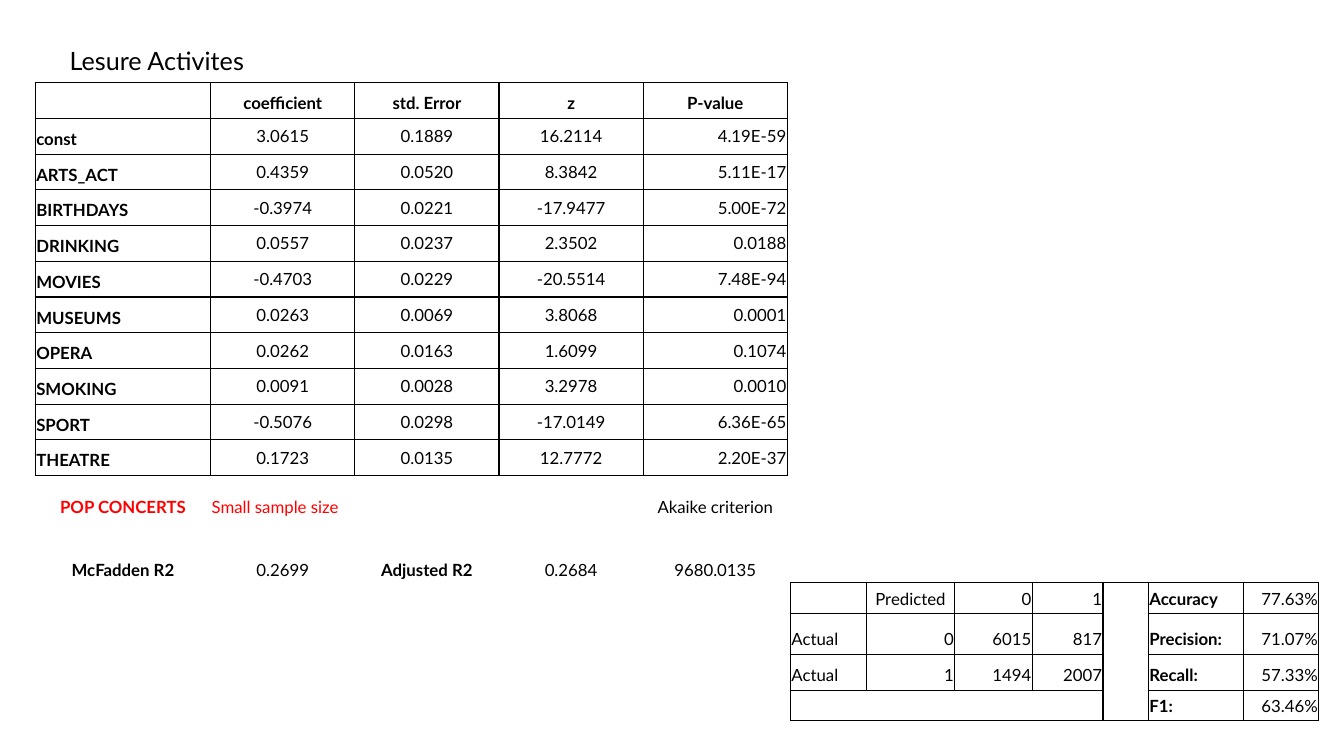
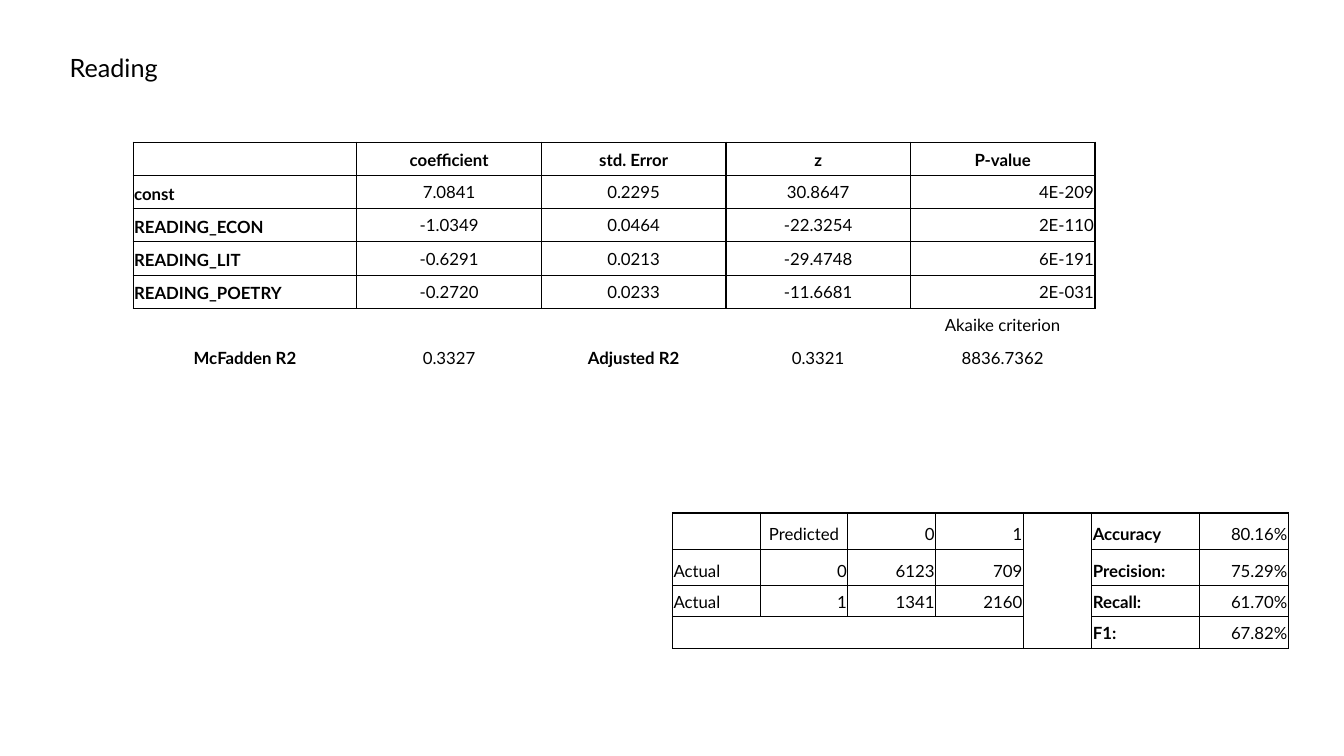
from lxml.etree import SubElement
from pptx import Presentation
from pptx.dml.color import RGBColor
from pptx.enum.text import MSO_ANCHOR, MSO_AUTO_SIZE, PP_ALIGN
from pptx.oxml.ns import qn
from pptx.util import Inches, Pt

BLACK, RED = "000000", "FF0000"
FONT = "Lato"
LEFT, CENTER, RIGHT = PP_ALIGN.LEFT, PP_ALIGN.CENTER, PP_ALIGN.RIGHT
REGRESSION_HEADER = ["", "coefficient", "std. Error", "z", "P-value"]
SCORE_LABELS = ["Accuracy", "Precision:", "Recall:", "F1:"]
GAP_COLUMN, SCORE_COLUMN = 4, 5


def color(value):
    """Turn a hex string into a colour."""
    return RGBColor.from_string(value)


class ReportDeck:
    """Hold the report style and the slide being filled."""

    def __init__(self):
        """Start a blank widescreen deck."""
        self.deck = Presentation()
        self.deck.slide_width, self.deck.slide_height = Inches(13.33), Inches(7.5)
        self.page = None

    def add_span(self, para, text, size, bold=False, ink=BLACK):
        """Add one styled run to a paragraph."""
        span = para.add_run()
        span.text = text
        span.font.name, span.font.size, span.font.bold = FONT, Pt(size), bold
        span.font.color.rgb = color(ink)

    def add_page(self, title, top):
        """Add a slide with its title."""
        self.page = self.deck.slides.add_slide(self.deck.slide_layouts[5])
        box = self.page.shapes.title
        box.left, box.top = Inches(0.59), Inches(top)
        box.width, box.height = Inches(10.31), Inches(0.4)
        frame = box.text_frame
        frame.word_wrap = True
        frame.auto_size = MSO_AUTO_SIZE.SHAPE_TO_FIT_TEXT
        frame.vertical_anchor = MSO_ANCHOR.TOP
        para = frame.paragraphs[0]
        para.alignment = LEFT
        self.add_span(para, title, 18)

    def add_grid(self, left, top, widths, heights):
        """Add an unstyled table and return it."""
        box = self.page.shapes.add_table(
            len(heights), len(widths), Inches(left), Inches(top),
            Inches(sum(widths)), Inches(sum(heights)))
        table = box.table
        table.first_row = table.horz_banding = False
        for column, width in zip(table.columns, widths):
            column.width = Inches(width)
        for row, height in zip(table.rows, heights):
            row.height = Inches(height)
        return table

    def fill_cell(self, cell, text, align, anchor, bold=False, ink=BLACK, sides="LRTB"):
        """Write one cell and rule the given sides."""
        cell.margin_left = cell.margin_right = Inches(0.01)
        cell.margin_top = cell.margin_bottom = Inches(0.05)
        cell.vertical_anchor = anchor
        properties = cell._tc.get_or_add_tcPr()
        for side in "LRTB":
            line = SubElement(properties, qn(f"a:ln{side}"), w=str(Pt(0.96)))
            if side in sides:
                paint = SubElement(line, qn("a:solidFill"))
                SubElement(paint, qn("a:srgbClr"), val=BLACK)
            else:
                SubElement(line, qn("a:noFill"))
        cell.fill.background()
        para = cell.text_frame.paragraphs[0]
        para.alignment = align
        if text:
            self.add_span(para, text, 12, bold, ink)
        else:
            SubElement(para._p, qn("a:endParaRPr"), sz="1200")

    def add_regression(self, left, top, widths, heights, estimates, summary):
        """Add the coefficient table with its unruled summary rows."""
        table = self.add_grid(left, top, widths, heights)
        for r, row in enumerate([REGRESSION_HEADER] + estimates):
            for c, text in enumerate(row):
                label = r == 0 or c == 0
                align = CENTER if r == 0 else LEFT if c == 0 else RIGHT if c == 4 else CENTER
                anchor = MSO_ANCHOR.BOTTOM if label else MSO_ANCHOR.MIDDLE
                self.fill_cell(table.cell(r, c), text, align, anchor, label)
        first = len(estimates) + 1
        for r, row in enumerate(summary):
            for c, text in enumerate(row):
                note = r == 0 and c < 2
                self.fill_cell(
                    table.cell(first + r, c), text, LEFT if note and c == 1 else CENTER,
                    MSO_ANCHOR.MIDDLE, c in (0, 2), RED if note else BLACK,
                    "T" if r == 0 else "")

    def add_confusion(self, left, top, widths, heights, counts, scores):
        """Add the confusion matrix beside its scores."""
        table = self.add_grid(left, top, widths, heights)
        matrix = [["", "Predicted", "0", "1"]]
        matrix += [["Actual", str(actual)] + row for actual, row in enumerate(counts)]
        matrix.append([""] * 4)
        for r, row in enumerate(matrix):
            for c, text in enumerate(row + ["", SCORE_LABELS[r], scores[r]]):
                align = LEFT if c in (0, SCORE_COLUMN) else RIGHT
                if text == "Predicted":
                    align = CENTER
                sides = "LRTB"
                if c == GAP_COLUMN:
                    sides = "LR" + {0: "T", len(matrix) - 1: "B"}.get(r, "")
                self.fill_cell(table.cell(r, c), text, align, MSO_ANCHOR.BOTTOM,
                               c == SCORE_COLUMN, sides=sides)
        table.cell(3, 0).merge(table.cell(3, 3))

    def save(self):
        """Save the deck."""
        self.deck.save("out.pptx")


def main():
    """Build both result slides."""
    report = ReportDeck()

    report.add_page("Lesure Activites", 0.4)
    report.add_regression(
        0.35, 0.82, [1.74] + [1.43] * 4, [3.9 / 11] * 11 + [0.63, 0.62],
        [["const", "3.0615", "0.1889", "16.2114", "4.19E-59"],
         ["ARTS_ACT", "0.4359", "0.0520", "8.3842", "5.11E-17"],
         ["BIRTHDAYS", "-0.3974", "0.0221", "-17.9477", "5.00E-72"],
         ["DRINKING", "0.0557", "0.0237", "2.3502", "0.0188"],
         ["MOVIES", "-0.4703", "0.0229", "-20.5514", "7.48E-94"],
         ["MUSEUMS", "0.0263", "0.0069", "3.8068", "0.0001"],
         ["OPERA", "0.0262", "0.0163", "1.6099", "0.1074"],
         ["SMOKING", "0.0091", "0.0028", "3.2978", "0.0010"],
         ["SPORT", "-0.5076", "0.0298", "-17.0149", "6.36E-65"],
         ["THEATRE", "0.1723", "0.0135", "12.7772", "2.20E-37"]],
        [["POP CONCERTS", "Small sample size", "", "", "Akaike criterion"],
         ["McFadden R2", "0.2699", "Adjusted R2", "0.2684", "9680.0135"]])
    report.add_confusion(
        7.84, 5.78, [0.75, 0.88, 0.77, 0.7, 0.45, 0.94, 0.75], [0.31, 0.4, 0.36, 0.3],
        [["6015", "817"], ["1494", "2007"]],
        ["77.63%", "71.07%", "57.33%", "63.46%"])

    report.add_page("Reading", 0.47)
    report.add_regression(
        1.32, 1.41, [2.22] + [1.83] * 4, [0.33] * 7,
        [["const", "7.0841", "0.2295", "30.8647", "4E-209"],
         ["READING_ECON", "-1.0349", "0.0464", "-22.3254", "2E-110"],
         ["READING_LIT", "-0.6291", "0.0213", "-29.4748", "6E-191"],
         ["READING_POETRY", "-0.2720", "0.0233", "-11.6681", "2E-031"]],
        [["", "", "", "", "Akaike criterion"],
         ["McFadden R2", "0.3327", "Adjusted R2", "0.3321", "8836.7362"]])
    report.add_confusion(
        6.67, 5.09, [0.87] * 4 + [0.68, 1.07, 0.88], [0.36, 0.36, 0.31, 0.31],
        [["6123", "709"], ["1341", "2160"]],
        ["80.16%", "75.29%", "61.70%", "67.82%"])

    report.save()


if __name__ == "__main__":
    main()
